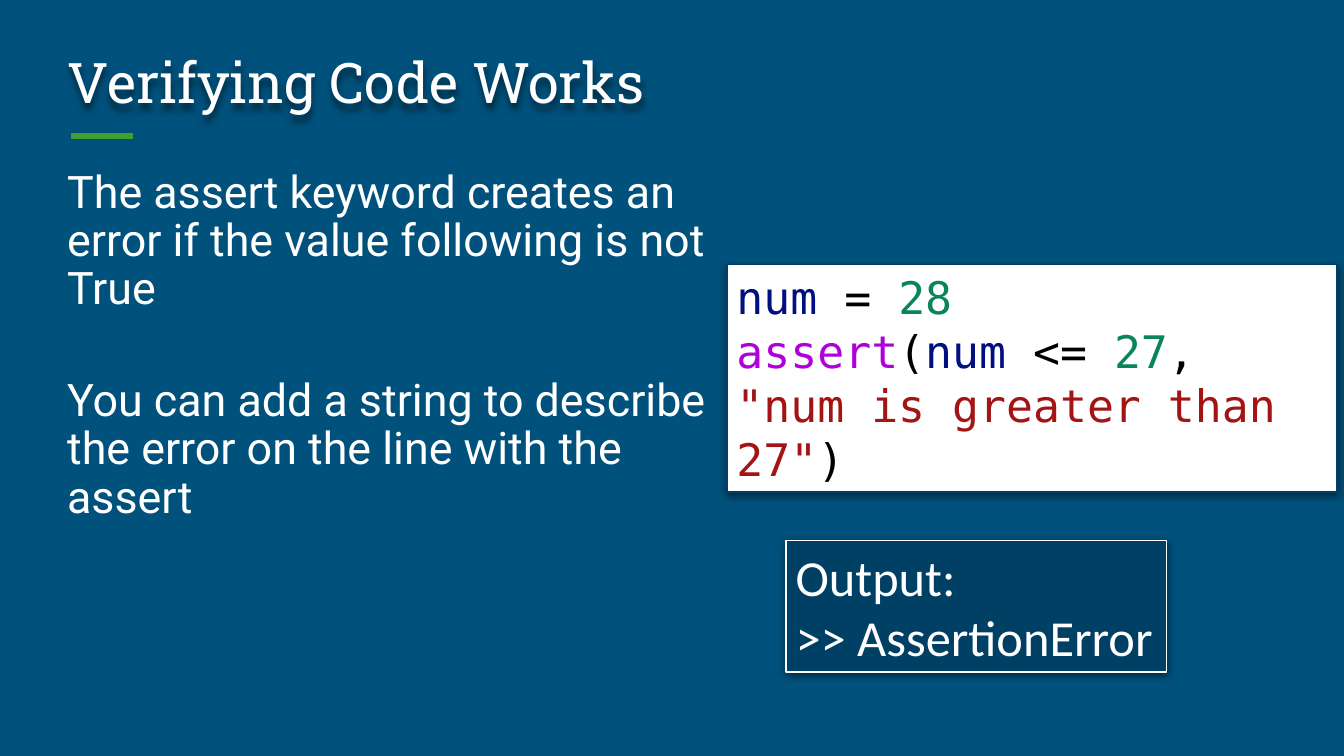
"""Build a slide on checking code with the assert keyword."""
from dataclasses import dataclass

from lxml import etree
from pptx import Presentation, util as u
from pptx.dml.color import RGBColor
from pptx.enum import shapes, text
from pptx.oxml import ns


@dataclass(frozen=True)
class Theme:
    back: str = "00517C"
    deep: str = "004065"
    white: str = "FFFFFF"
    black: str = "000000"
    green: str = "419E2F"
    name: str = "001080"
    digit: str = "098658"
    key: str = "AF00DB"
    quote: str = "A31515"
    head: int = 30
    body: int = 24
    out: int = 27


T = Theme()
hue = RGBColor.from_string


def shade(shape, blur, dist):
    """Give the shape a soft black shadow straight below it."""
    shape.shadow.inherit = False
    glow = shape.element.spPr.find(ns.qn("a:effectLst"))
    drop = etree.SubElement(glow, ns.qn("a:outerShdw"), blurRad=str(u.Pt(blur)),
                            dist=str(u.Pt(dist)), dir="5400000", algn="ctr", rotWithShape="0")
    tint = etree.SubElement(drop, ns.qn("a:srgbClr"), val=T.black)
    etree.SubElement(tint, ns.qn("a:alpha"), val="50000")


def write(shape, lines, font, size, space=1.0, gap=0, anchor=text.MSO_ANCHOR.TOP):
    """Fill the shape with lines, each a list of (words, colour) pairs."""
    frame = shape.text_frame
    frame.word_wrap = True
    frame.vertical_anchor = anchor
    frame.margin_left = frame.margin_right = u.Inches(0.07)
    frame.margin_top = frame.margin_bottom = u.Inches(0.04)
    for i, line in enumerate(lines):
        para = frame.add_paragraph() if i else frame.paragraphs[0]
        para.alignment = text.PP_ALIGN.LEFT
        para.line_spacing = space
        para.space_before = u.Pt(gap if i else 0)
        para.font.name, para.font.size = font, u.Pt(size)
        for words, color in line:
            run = para.add_run()
            run.text = words
            run.font.color.rgb = hue(color)


deck = Presentation()
deck.slide_width = u.Inches(10)
deck.slide_height = deck.slide_width * 9 // 16
slide = deck.slides.add_slide(deck.slide_layouts[6])
slide.background.fill.solid()
slide.background.fill.fore_color.rgb = hue(T.back)

rule = slide.shapes.add_connector(shapes.MSO_CONNECTOR.STRAIGHT, u.Inches(0.53),
                                  u.Inches(1.01), u.Inches(0.99), u.Inches(1.01))
rule.line.color.rgb = hue(T.green)
rule.line.width = u.Pt(3)
etree.SubElement(rule.element.spPr, ns.qn("a:effectLst"))

title = slide.shapes.add_textbox(u.Inches(0.43), u.Inches(0.26), u.Inches(9.15), u.Inches(0.75))
write(title, [[("Verifying Code Works", T.white)]], "Roboto Slab", T.head, 0.9,
      anchor=text.MSO_ANCHOR.MIDDLE)
shade(title, 4, 3)

body = slide.shapes.add_textbox(u.Inches(0.43), u.Inches(1.22), u.Inches(5.27), u.Inches(3.77))
notes = ["The assert keyword creates an error if the value following is not True",
         "You can add a string to describe the error on the line with the assert"]
write(body, [[(note, T.white)] for note in notes], "Roboto", T.body, 0.9, 34)

code = [
    [("num", T.name), (" = ", T.black), ("28", T.digit)],
    [("assert", T.key), ("(", T.black), ("num", T.name), (" <= ", T.black), ("27", T.digit),
     (", ", T.black), ('"num is greater than 27"', T.quote), (")", T.black)],
]
output = [[("Output:", T.white)], [(">> AssertionError", T.white)]]
panels = [
    ((5.41, 1.97, 4.54, 1.69), T.white, T.deep, code, "DejaVu Sans Mono", T.body),
    ((5.85, 4.02, 2.83, 0.98), T.deep, T.white, output, "Calibri", T.out),
]
for place, fill, edge, lines, font, size in panels:
    panel = slide.shapes.add_shape(shapes.MSO_SHAPE.RECTANGLE, *map(u.Inches, place))
    panel.fill.solid()
    panel.fill.fore_color.rgb = hue(fill)
    panel.line.color.rgb = hue(edge)
    panel.line.width = u.Pt(0.75)
    shade(panel, 4.5, 1.5)
    write(panel, lines, font, size)

deck.save("out.pptx")
